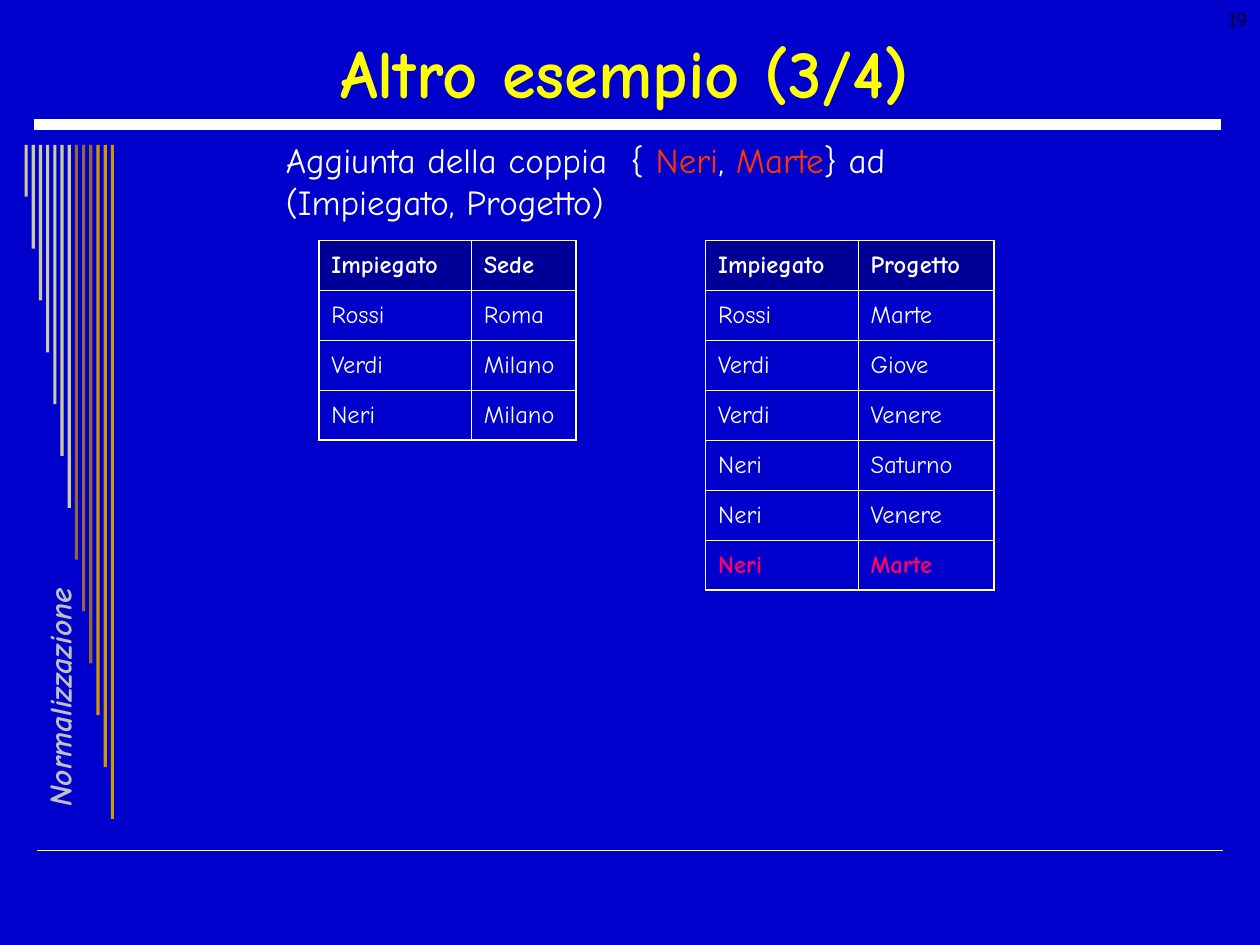
from lxml.etree import SubElement
from pptx import Presentation
from pptx.dml.color import RGBColor
from pptx.enum.shapes import MSO_CONNECTOR, MSO_SHAPE
from pptx.enum.text import MSO_ANCHOR, PP_ALIGN
from pptx.oxml.ns import qn
from pptx.util import Inches, Pt

HUES = {
    "back": "0000CC", "head": "000099", "white": "FFFFFF", "title": "FFFF00",
    "red": "FF3300", "pink": "FF0066", "grey": "C0C0C0", "black": "000000",
    "sand": "CCCC99", "brown": "996633", "gold": "CC9900",
}
FONT = "Comic Neue"
COLS, ROWS = 100, 75
UNIT = Inches(10) / COLS
PLAIN = "{2D5ABB26-0587-4C30-8999-92F81FD0307C}"
THICK, THIN = 1.08, 0.45

STAFF = [("Impiegato", "Sede"), ("Rossi", "Roma"), ("Verdi", "Milano"), ("Neri", "Milano")]
TASKS = [("Impiegato", "Progetto"), ("Rossi", "Marte"), ("Verdi", "Giove"),
         ("Verdi", "Venere"), ("Neri", "Saturno"), ("Neri", "Venere"), ("Neri", "Marte")]


def hue(name):
    """Return the named colour."""
    return RGBColor.from_string(HUES[name])


def span(*cells):
    """Turn grid units into slide lengths."""
    return [round(n * UNIT) for n in cells]


def write(frame, *runs, size=14, color="white", bold=False, italic=False,
          align=PP_ALIGN.LEFT, anchor=MSO_ANCHOR.TOP, wrap=True):
    """Write runs, each a string or a (string, colour) pair, into a frame."""
    frame.word_wrap = wrap
    frame.vertical_anchor = anchor
    para = frame.paragraphs[0]
    para.alignment = align
    for item in runs:
        words, tint = (item, color) if isinstance(item, str) else item
        run = para.add_run()
        run.text = words
        font = run.font
        font.name, font.size = FONT, Pt(size)
        font.bold, font.italic = bold, italic
        font.color.rgb = hue(tint)


def label(slide, box, *runs, turn=0, **form):
    """Add a text box in the given box."""
    shape = slide.shapes.add_textbox(*span(*box))
    shape.rotation = turn
    write(shape.text_frame, *runs, **form)


def rule(slide, left, top, width, weight):
    """Draw a level white line."""
    line = slide.shapes.add_connector(
        MSO_CONNECTOR.STRAIGHT, *span(left, top, left + width, top))
    line.line.color.rgb = hue("white")
    line.line.width = Pt(weight)
    SubElement(line._element.spPr, qn("a:effectLst"))


def title(slide, box, words):
    """Place the title above its thick rule."""
    shape = slide.shapes.title
    shape.left, shape.top, shape.width, shape.height = span(*box)
    write(shape.text_frame, words, size=39, color="title", bold=True,
          align=PP_ALIGN.CENTER, anchor=MSO_ANCHOR.MIDDLE)


def fringe(slide, box):
    """Hang bars of evenly growing length across the box."""
    left, top, width, height = box
    tints = ["sand"] * 7 + ["brown"] * 3 + ["gold"] * 3
    thick = 0.25
    step = (width - thick) / (len(tints) - 1)
    for i, tint in enumerate(tints):
        size = height * (i + 1) / len(tints)
        bar = slide.shapes.add_shape(
            MSO_SHAPE.RECTANGLE, *span(left + i * step, top, thick, size))
        bar.shadow.inherit = False
        bar.fill.solid()
        bar.fill.fore_color.rgb = hue(tint)
        bar.line.fill.background()


def edge(cell, side, weight):
    """Give one side of a cell a white line, or none for zero weight."""
    line = SubElement(cell._tc.get_or_add_tcPr(), qn("a:ln" + side), w=str(Pt(weight)))
    if weight:
        fill = SubElement(line, qn("a:solidFill"))
        SubElement(fill, qn("a:srgbClr"), val=HUES["white"])
    else:
        SubElement(line, qn("a:noFill"))


def tables(slide, box, widths):
    """Set both relations side by side in one bordered grid."""
    words = {}
    for first, data in ((1, STAFF), (4, TASKS)):
        for r, pair in enumerate(data):
            for c, word in enumerate(pair):
                words[r, first + c] = word
    count = len(TASKS) + 1
    shape = slide.shapes.add_table(count, len(widths), *span(*box))
    grid = shape.table
    grid.first_row = grid.horz_banding = False
    grid._tbl.tblPr.find(qn("a:tableStyleId")).text = PLAIN
    for col, width in zip(grid.columns, span(*widths)):
        col.width = width
    sides = {"L": (0, -1), "R": (0, 1), "T": (-1, 0), "B": (1, 0)}
    for r in range(count):
        for c in range(len(widths)):
            cell, here = grid.cell(r, c), (r, c) in words
            for side, (down, over) in sides.items():
                near = (r + down, c + over) in words
                head = down and min(r, r + down) == 0
                weight = THICK if here != near or head else THIN
                edge(cell, side, weight if here or near else 0)
            cell.fill.background()
            if not here:
                cell.margin_top = cell.margin_bottom = 0
                continue
            if r == 0:
                cell.fill.solid()
                cell.fill.fore_color.rgb = hue("head")
            last = r == len(TASKS) - 1
            cell.vertical_anchor = MSO_ANCHOR.MIDDLE
            write(cell.text_frame, words[r, c], bold=r == 0 or last,
                  color="pink" if last else "white", anchor=MSO_ANCHOR.MIDDLE)


def build():
    """Build and save the deck."""
    deck = Presentation()
    deck.slide_width, deck.slide_height = span(COLS, ROWS)
    slide = deck.slides.add_slide(deck.slide_layouts[5])
    slide.background.fill.solid()
    slide.background.fill.fore_color.rgb = hue("back")
    rule(slide, 2.9, 67.5, 94.2, 1)
    rule(slide, 2.7, 9.9, 94.2, 6)
    fringe(slide, (1.95, 11.5, 7.1, 53.5))
    label(slide, (-7.5, 52.4, 22.8, 2.4), "Normalizzazione", turn=270, size=18,
          color="grey", bold=True, italic=True, wrap=False)
    title(slide, (3.5, 2.1, 92.1, 7.1), "Altro esempio (3/4)")
    tables(slide, (22.9, 19.1, 58.4, 31.7), (2.4, 12.1, 8.3, 10.3, 12.1, 10.8, 2.4))
    label(slide, (21.7, 10.5, 60.7, 7.7), "Aggiunta della coppia  { ", ("Neri", "red"),
          ", ", ("Marte", "red"), "} ad (Impiegato, Progetto)", size=20)
    label(slide, (76.7, 0, 23.3, 5), "19", size=12, color="black", align=PP_ALIGN.RIGHT)
    deck.save("out.pptx")


if __name__ == "__main__":
    build()
